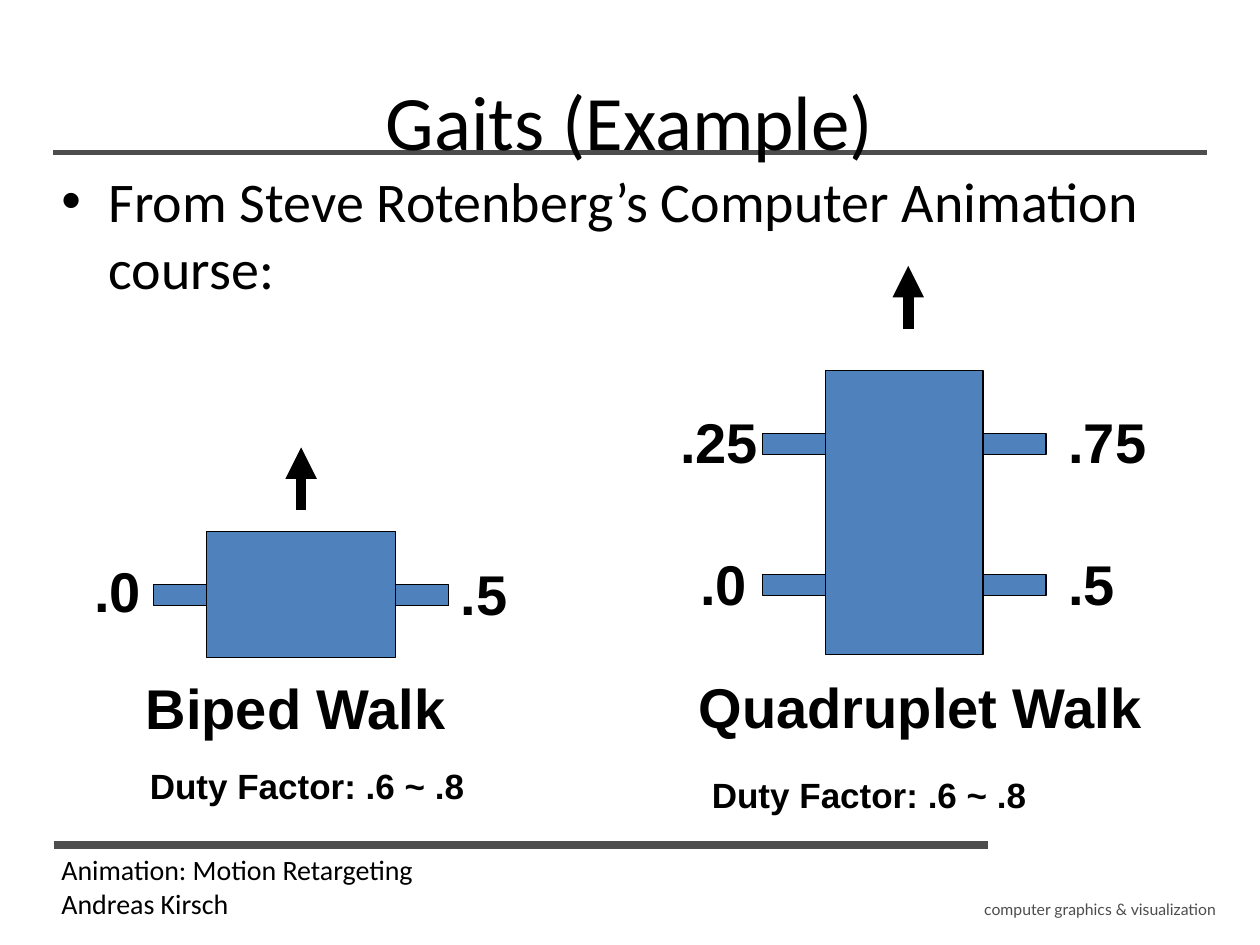
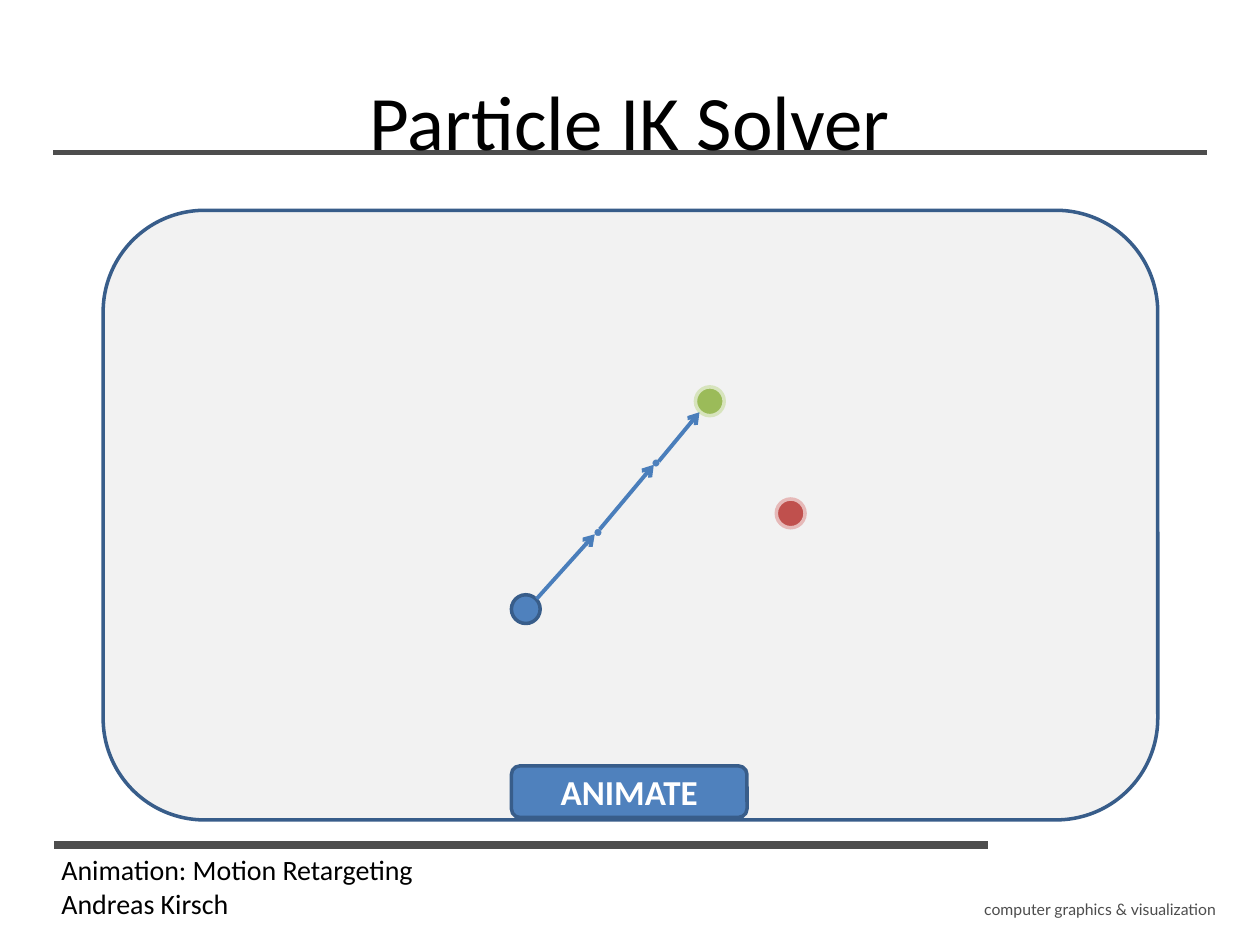
"""Build two animation lecture slides: a gait example and a particle IK solver."""
from lxml import etree
from pptx import Presentation
from pptx.dml.color import RGBColor
from pptx.enum.shapes import MSO_CONNECTOR, MSO_SHAPE
from pptx.enum.text import MSO_ANCHOR, MSO_AUTO_SIZE, PP_ALIGN
from pptx.oxml.ns import qn
from pptx.util import Cm, Pt

BLACK = RGBColor(0x00, 0x00, 0x00)
WHITE = RGBColor(0xFF, 0xFF, 0xFF)
GRAY = RGBColor(0x4D, 0x4D, 0x4D)
PANEL_GRAY = RGBColor(0xF2, 0xF2, 0xF2)
BLUE = RGBColor(0x4F, 0x81, 0xBD)
DARK_BLUE = RGBColor(0x38, 0x5D, 0x8A)
ARROW_BLUE = RGBColor(0x4A, 0x7E, 0xBB)
GREEN = RGBColor(0x9B, 0xBB, 0x59)
PALE_GREEN = RGBColor(0xD7, 0xE4, 0xBD)
RED = RGBColor(0xC0, 0x50, 0x4D)
PALE_RED = RGBColor(0xE6, 0xB9, 0xB8)

BODY_FONT = "Calibri"
LABEL_FONT = "Arial"
FOOTER_FONT = "Lato"

RECTANGLE = MSO_SHAPE.RECTANGLE
ROUNDED = MSO_SHAPE.ROUNDED_RECTANGLE
OVAL = MSO_SHAPE.OVAL
STRAIGHT = MSO_CONNECTOR.STRAIGHT
NO_AUTOSIZE = MSO_AUTO_SIZE.NONE
BOTTOM = MSO_ANCHOR.BOTTOM
MIDDLE = MSO_ANCHOR.MIDDLE
LEFT = PP_ALIGN.LEFT
CENTER = PP_ALIGN.CENTER
TITLE_ONLY = 5

LEG_THICKNESS = 0.42
HEADING_ARROW = 1.27
PARTICLE = 0.58
JOINT = 0.13


class Deck:
    """Hold the presentation style and the current slide; lengths are in centimetres."""

    def __init__(self):
        self.presentation = Presentation()
        self.presentation.slide_width = Cm(25.4)
        self.presentation.slide_height = Cm(19.05)
        self.slide = None

    def add_slide(self, title):
        layout = self.presentation.slide_layouts[TITLE_ONLY]
        self.slide = self.presentation.slides.add_slide(layout)
        self.line((1.07, 3.07), (24.33, 3.07), GRAY, 3)
        self.line((1.09, 17.04), (19.91, 17.04), GRAY, 4.5)
        self.text(["computer graphics & visualization"], 19.51, 18.01, 5.33, 1.02,
                  9, FOOTER_FONT, GRAY, align=CENTER)
        self.text(["Animation: Motion Retargeting", "Andreas Kirsch"],
                  0.99, 17.07, 18.64, 1.63, 16)
        self.title(title)

    def title(self, text):
        shape = self.slide.shapes.title
        shape.left, shape.top, shape.width, shape.height = Cm(0.99), Cm(0.58), Cm(23.42), Cm(2.77)
        frame = shape.text_frame
        frame.auto_size = NO_AUTOSIZE
        frame.vertical_anchor = BOTTOM
        frame.margin_top = frame.margin_bottom = 0
        frame.text = text
        self.style(frame.paragraphs[0], 44, align=CENTER)
        self.slide.shapes._spTree.append(shape._element)

    def style(self, paragraph, size, font=BODY_FONT, color=BLACK, bold=False, align=LEFT):
        paragraph.alignment = align
        paragraph.font.size = Pt(size)
        paragraph.font.name = font
        paragraph.font.color.rgb = color
        paragraph.font.bold = bold

    def text(self, lines, left, top, width, height, size, font=BODY_FONT, color=BLACK,
             bold=False, align=LEFT, bullet=False):
        box = self.slide.shapes.add_textbox(Cm(left), Cm(top), Cm(width), Cm(height))
        frame = box.text_frame
        frame.word_wrap = True
        frame.text = "\n".join(lines)
        for paragraph in frame.paragraphs:
            if bullet:
                self.bullet(paragraph)
            self.style(paragraph, size, font, color, bold, align)

    def bullet(self, paragraph):
        properties = paragraph._p.get_or_add_pPr()
        properties.set("marL", str(Cm(0.95)))
        properties.set("indent", str(-Cm(0.95)))
        etree.SubElement(properties, qn("a:buFont"), typeface=LABEL_FONT)
        etree.SubElement(properties, qn("a:buChar"), char="•")

    def label(self, text, left, top, width=2.34, height=1.63, size=32):
        self.text([text], left, top, width, height, size, LABEL_FONT, bold=True)

    def shape(self, kind, left, top, width, height, fill, outline, weight):
        shape = self.slide.shapes.add_shape(kind, Cm(left), Cm(top), Cm(width), Cm(height))
        shape.shadow.inherit = False
        shape.fill.solid()
        shape.fill.fore_color.rgb = fill
        shape.line.color.rgb = outline
        shape.line.width = Pt(weight)
        return shape

    def line(self, start, end, color, weight, head=None):
        ends = [Cm(value) for value in (*start, *end)]
        connector = self.slide.shapes.add_connector(STRAIGHT, *ends)
        connector.line.color.rgb = color
        connector.line.width = Pt(weight)
        if head:
            etree.SubElement(connector.line._get_or_add_ln(), qn("a:tailEnd"), type=head)
        etree.SubElement(connector._element.spPr, qn("a:effectLst"))

    def button(self, text, left, top, width, height):
        shape = self.shape(ROUNDED, left, top, width, height, BLUE, DARK_BLUE, 2)
        shape.text_frame.vertical_anchor = MIDDLE
        shape.text_frame.text = text
        self.style(shape.text_frame.paragraphs[0], 20, color=WHITE, bold=True, align=CENTER)

    def walker(self, left, top, width, height, leg_length, leg_tops, arrow_start):
        self.shape(RECTANGLE, left, top, width, height, BLUE, BLACK, 0.75)
        for leg_top in leg_tops:
            for leg_left in (left - leg_length, left + width):
                self.shape(RECTANGLE, leg_left, leg_top, leg_length, LEG_THICKNESS,
                           BLUE, BLACK, 0.75)
        x, y = arrow_start
        self.line((x, y), (x, y - HEADING_ARROW), BLACK, 6, "triangle")


def add_gaits(deck):
    deck.add_slide("Gaits (Example)")
    deck.text(["From Steve Rotenberg’s Computer Animation course:"],
              0.99, 3.23, 23.44, 13.77, 32, bullet=True)
    deck.walker(16.64, 7.47, 3.18, 5.72, 1.27, (8.74, 11.58), (18.31, 6.63))
    deck.walker(4.17, 10.72, 3.81, 2.54, 1.07, (11.79,), (6.07, 10.29))
    phases = [(".0", 13.87, 10.95), (".25", 13.46, 8.1), (".5", 21.29, 10.95),
              (".75", 21.29, 8.1), (".0", 1.65, 11.1), (".5", 9.04, 11.15)]
    for phase, left, top in phases:
        deck.label(phase, left, top)
    deck.label("Quadruplet Walk", 13.84, 13.44, 9.6)
    deck.label("Biped Walk", 2.69, 13.46, 6.99)
    for left, top in ((14.1, 15.47), (2.77, 15.29)):
        deck.label("Duty Factor: .6 ~ .8", left, top, 7, 1.12, 20)


def add_particle_solver(deck):
    deck.add_slide("Particle IK Solver")
    deck.shape(ROUNDED, 2.08, 4.24, 21.26, 12.29, PANEL_GRAY, DARK_BLUE, 2)
    deck.button("ANIMATE", 10.31, 15.44, 4.75, 1.04)
    particles = [(14.02, 7.8, GREEN, PALE_GREEN), (10.31, 11.99, BLUE, DARK_BLUE),
                 (15.65, 10.06, RED, PALE_RED)]
    for left, top, fill, outline in particles:
        deck.shape(OVAL, left, top, PARTICLE, PARTICLE, fill, outline, 2)
    for left, top in ((13.16, 9.27), (11.99, 10.67)):
        deck.shape(OVAL, left, top, JOINT, JOINT, BLUE, BLUE, 0.25)
    bones = [((10.82, 12.07), (11.99, 10.77)), ((12.09, 10.67), (13.18, 9.37)),
             ((13.28, 9.3), (14.1, 8.31))]
    for start, end in bones:
        deck.line(start, end, ARROW_BLUE, 2.25, "arrow")


def main():
    deck = Deck()
    add_gaits(deck)
    add_particle_solver(deck)
    deck.presentation.save("out.pptx")


if __name__ == "__main__":
    main()
